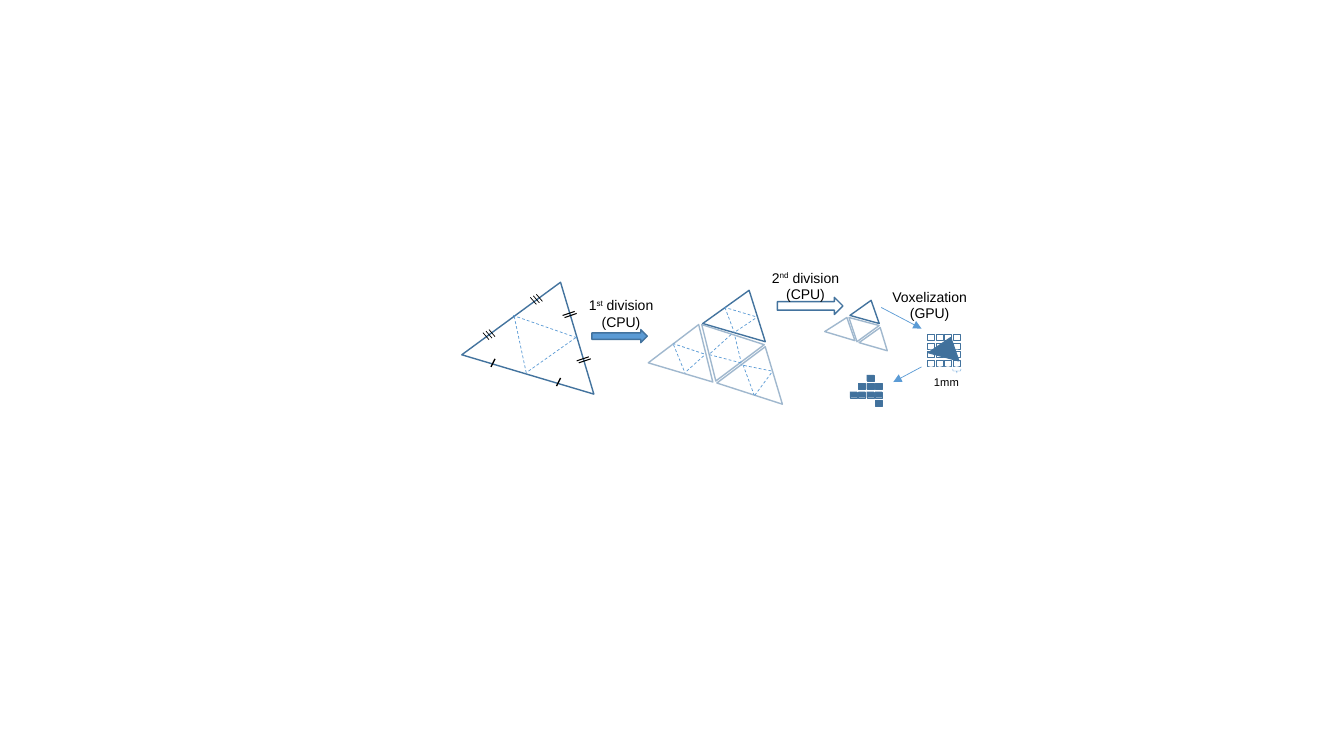
import pptx
import pptx.util
import pptx.dml.color
import pptx.enum.dml
import pptx.enum.shapes
import pptx.enum.text
import lxml.etree

COLORS = {
    "edge": "43739E",
    "pale": "A0B8CE",
    "accent": "5B9BD5",
    "solid": "41719C",
    "ink": "000000",
}
SHAPE = pptx.enum.shapes.MSO_SHAPE
PITCH = 0.25 / 3


def length(inches):
    """Convert inches on the slide to a length."""
    return pptx.util.Cm(inches * 2.54)


def rgb(name):
    """Look up a named colour."""
    return pptx.dml.color.RGBColor.from_string(COLORS[name])


class Diagram:
    """Draws styled elements on the current slide."""

    font = "Arial"

    def __init__(self, s):
        """Keep the current slide."""
        self.s = s

    def paint(self, sp, fill, line, width):
        """Give a shape its fill and outline."""
        sp.shadow.inherit = False
        if fill:
            sp.fill.solid()
            sp.fill.fore_color.rgb = rgb(fill)
        else:
            sp.fill.background()
        sp.line.color.rgb = rgb(line)
        sp.line.width = pptx.util.Pt(width)
        return sp

    def shape(self, kind, x, y, w, h, fill=None, line="edge", width=1.0):
        """Add a preset shape."""
        sp = self.s.shapes.add_shape(kind, *map(length, (x, y, w, h)))
        return self.paint(sp, fill, line, width)

    def triangle(self, points, fill=None, line="edge"):
        """Add a closed triangle through three points."""
        start, *rest = [(length(x), length(y)) for x, y in points]
        builder = self.s.shapes.build_freeform(*start)
        builder.add_line_segments(rest, close=True)
        return self.paint(builder.convert_to_shape(), fill, line, 1)

    def line(self, x1, y1, x2, y2, color="accent", width=0.5, dash=False, arrow=False):
        """Add a straight line, dashed or with an arrowhead if asked."""
        c = self.s.shapes.add_connector(
            pptx.enum.shapes.MSO_CONNECTOR.STRAIGHT, *map(length, (x1, y1, x2, y2)))
        c.line.color.rgb = rgb(color)
        c.line.width = pptx.util.Pt(width)
        if dash:
            c.line.dash_style = pptx.enum.dml.MSO_LINE.DASH
        if arrow:
            ln = c.line._get_or_add_ln()
            lxml.etree.SubElement(ln, pptx.oxml.ns.qn("a:tailEnd"), type="triangle")
        lxml.etree.SubElement(c._element.spPr, pptx.oxml.ns.qn("a:effectLst"))

    def ticks(self, starts, count, step, span, width):
        """Add a set of parallel equal-length marks at each start."""
        for x, y in starts:
            for i in range(count):
                x1, y1 = x + i * step[0], y + i * step[1]
                self.line(x1, y1, x1 + span[0], y1 + span[1], "ink", width)

    def voxels(self, x, y, rows, fill=None):
        """Add voxels at the listed columns of each row."""
        for i, columns in enumerate(rows):
            for j in columns:
                self.shape(SHAPE.RECTANGLE, x + j * PITCH, y + i * PITCH,
                           0.07, 0.06, fill, width=0.25)

    def label(self, x, y, w, h, lines, size=10, align="CENTER"):
        """Add a text box; each line is a list of runs, with ^ for superscript."""
        tf = self.s.shapes.add_textbox(*map(length, (x, y, w, h))).text_frame
        tf.word_wrap = True
        tf.auto_size = pptx.enum.text.MSO_AUTO_SIZE.SHAPE_TO_FIT_TEXT
        for i, runs in enumerate(lines):
            p = tf.add_paragraph() if i else tf.paragraphs[0]
            p.alignment = pptx.enum.text.PP_ALIGN[align]
            p.font.name = self.font
            p.font.size = pptx.util.Pt(size)
            p.font.color.rgb = rgb("ink")
            for text in runs:
                r = p.add_run()
                r.text = text.lstrip("^")
                if text.startswith("^"):
                    r._r.get_or_add_rPr().set("baseline", "30000")


def draw_source_triangle(d):
    """Draw the undivided triangle with its midpoint lines and marks."""
    d.triangle([(4.58, 3.52), (5.56, 2.8), (5.89, 3.91)])
    for ends in [(5.71, 3.35, 5.23, 3.69), (5.22, 3.7, 5.1, 3.14),
                 (5.72, 3.35, 5.09, 3.13)]:
        d.line(*ends, dash=True)
    d.ticks([(4.91, 3.56), (5.56, 3.75)], 1, (0, 0), (-0.04, 0.08), 1)
    d.ticks([(5.72, 3.58), (5.58, 3.13)], 2, (0.02, 0.02), (0.12, -0.04), 0.75)
    d.ticks([(4.79, 3.3), (5.26, 2.95)], 3, (0.03, -0.015), (0.06, 0.07), 0.5)


def draw_steps(d):
    """Draw the arrows and labels of the steps."""
    d.label(5.58, 2.89, 1.16, 0.44, [["1", "^st", " division"], ["(CPU)"]])
    d.line(8.74, 3.05, 9.14, 3.26, arrow=True)
    d.label(8.64, 2.81, 1.16, 0.44, [["Voxelization"], ["(GPU)"]])
    d.shape(SHAPE.RIGHT_ARROW, 5.87, 3.27, 0.55, 0.13, "accent")
    d.shape(SHAPE.RIGHT_ARROW, 7.71, 2.95, 0.65, 0.17)
    d.label(7.41, 2.62, 1.16, 0.44, [["2", "^nd", " division"], ["(CPU)"]])
    d.line(9.14, 3.64, 8.86, 3.79, arrow=True)


def draw_first_division(d):
    """Draw the four triangles of the first division."""
    d.triangle([(6.43, 3.6), (6.93, 3.22), (7.07, 3.79)], line="pale")
    d.triangle([(7.11, 3.8), (7.59, 3.44), (7.76, 4.01)], line="pale")
    d.triangle([(6.97, 3.21), (7.43, 2.88), (7.59, 3.39)])
    d.triangle([(6.96, 3.22), (7.58, 3.42), (7.1, 3.78)], line="pale")
    for ends in [
        (7.49, 3.16, 7.28, 3.3), (7.49, 3.14, 7.19, 3.05), (7.19, 3.05, 7.28, 3.29),
        (7.65, 3.68, 7.35, 3.62), (6.98, 3.51, 6.68, 3.41), (7.29, 3.34, 7.35, 3.59),
        (7.37, 3.62, 7.48, 3.92), (6.68, 3.42, 6.79, 3.69), (7.25, 3.32, 7.04, 3.51),
        (6.98, 3.53, 6.79, 3.7), (7.65, 3.7, 7.48, 3.93), (7.35, 3.6, 7.04, 3.52),
    ]:
        d.line(*ends, dash=True)


def draw_second_division(d):
    """Draw the four triangles of the second division."""
    d.triangle([(8.18, 3.29), (8.4, 3.15), (8.48, 3.38)], line="pale")
    d.triangle([(8.43, 3.13), (8.64, 2.98), (8.72, 3.21)])
    d.triangle([(8.52, 3.4), (8.73, 3.25), (8.8, 3.48)], line="pale")
    d.triangle([(8.5, 3.39), (8.42, 3.15), (8.72, 3.23)], line="pale")


def draw_voxelization(d):
    """Draw the voxel grid, its scale and the resulting voxels."""
    d.voxels(9.2, 3.32, [range(4)] * 4)
    brace = d.shape(SHAPE.LEFT_BRACE, 9.47, 3.64, 0.04, 0.08, None, "accent", 0.25)
    brace.rotation = 270
    d.label(9.11, 3.67, 0.5, 0.24, [["1mm"]], 8, "RIGHT")
    d.triangle([(9.21, 3.5), (9.43, 3.35), (9.51, 3.58)], "solid")
    d.voxels(8.43, 3.72, [[2], [1, 2, 3], range(4), [3]], "solid")


def main():
    """Build and save the slide."""
    prs = pptx.Presentation()
    prs.slide_width, prs.slide_height = length(13.33), length(7.5)
    d = Diagram(prs.slides.add_slide(prs.slide_layouts[6]))
    draw_source_triangle(d)
    draw_steps(d)
    draw_first_division(d)
    draw_second_division(d)
    draw_voxelization(d)
    prs.save("out.pptx")


if __name__ == "__main__":
    main()
